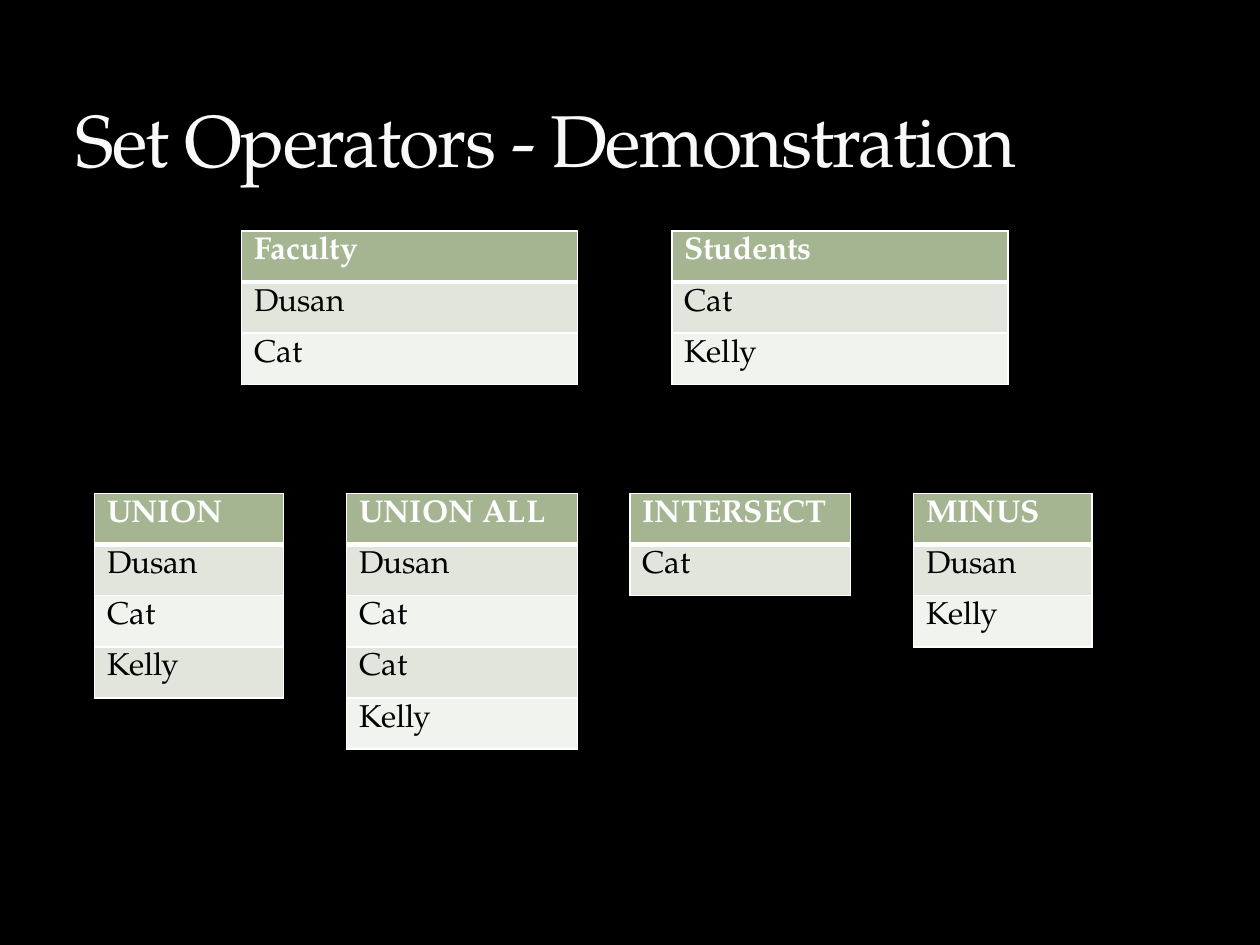
from pptx import Presentation
from pptx.dml.color import RGBColor
from pptx.enum.text import MSO_ANCHOR, PP_ALIGN
from pptx.oxml import parse_xml
from pptx.oxml.ns import nsdecls
from pptx.util import Inches, Pt

FONT = "TeX Gyre Pagella"
WHITE, BLACK = "FFFFFF", "000000"
HEADER, BANDS = "A5B592", ("E1E5DC", "F0F3EE")


def color(value):
    return RGBColor.from_string(value)


def line_xml(tag, width, value, alpha=100):
    return parse_xml(
        f'<a:{tag} {nsdecls("a")} w="{Pt(width)}"><a:solidFill><a:srgbClr val="{value}">'
        f'<a:alpha val="{alpha * 1000}"/></a:srgbClr></a:solidFill>'
        f'<a:prstDash val="solid"/></a:{tag}>')


def write(tf, text, size=18, fill=BLACK, bold=False):
    p = tf.paragraphs[0]
    p.alignment = PP_ALIGN.LEFT
    r = p.add_run()
    r.text = text
    r.font.name, r.font.size, r.font.bold = FONT, Pt(size), bold
    r.font.color.rgb = color(fill)
    return r


class Deck:
    COLUMNS, ROWS = 120, 90
    TABLE_ROW = 4.87

    def __init__(self, width, height):
        self.prs = Presentation()
        self.prs.slide_width, self.prs.slide_height = Inches(width), Inches(height)
        self.s = self.prs.slides.add_slide(self.prs.slide_layouts[5])
        background = self.s.background.fill
        background.solid()
        background.fore_color.rgb = color(BLACK)

    def x(self, columns):
        return round(self.prs.slide_width * columns / self.COLUMNS)

    def y(self, rows):
        return round(self.prs.slide_height * rows / self.ROWS)

    def title(self, text, left, top, width, height):
        sp = self.s.shapes.title
        sp.left, sp.top = self.x(left), self.y(top)
        sp.width, sp.height = self.x(width), self.y(height)
        tf = sp.text_frame
        tf.word_wrap = True
        tf.vertical_anchor = MSO_ANCHOR.BOTTOM
        r = write(tf, text, size=42, fill="F9F9F9")
        props = r.font._element
        props.set("spc", "-100")
        props.insert(0, line_xml("ln", 0.25, "3C4422", alpha=25))

    def table(self, left, top, width, names):
        row_height = self.y(self.TABLE_ROW)
        table = self.s.shapes.add_table(
            len(names), 1, self.x(left), self.y(top),
            self.x(width), row_height * len(names)).table
        for i, name in enumerate(names):
            table.rows[i].height = row_height
            self.cell(table.cell(i, 0), i, name)

    def cell(self, cell, row, name):
        is_header = row == 0
        cell.fill.solid()
        cell.fill.fore_color.rgb = color(HEADER if is_header else BANDS[(row - 1) % 2])
        write(cell.text_frame, name, fill=WHITE if is_header else BLACK, bold=is_header)
        widths = {"lnL": 1, "lnR": 1, "lnT": 3 if row == 1 else 1, "lnB": 3 if is_header else 1}
        props = cell._tc.get_or_add_tcPr()
        for i, (tag, width) in enumerate(widths.items()):
            props.insert(i, line_xml(tag, width, WHITE))


def main():
    deck = Deck(10, 7.5)
    deck.title("Set Operators - Demonstration", 6, 2, 108, 16)
    inputs_top, results_top = 22, 47
    for left, top, width, names in (
        (23, inputs_top, 32, ("Faculty", "Dusan", "Cat")),
        (64, inputs_top, 32, ("Students", "Cat", "Kelly")),
        (9, results_top, 18, ("UNION", "Dusan", "Cat", "Kelly")),
        (33, results_top, 22, ("UNION ALL", "Dusan", "Cat", "Cat", "Kelly")),
        (60, results_top, 21, ("INTERSECT", "Cat")),
        (87, results_top, 17, ("MINUS", "Dusan", "Kelly")),
    ):
        deck.table(left, top, width, names)
    deck.prs.save("out.pptx")


if __name__ == "__main__":
    main()
